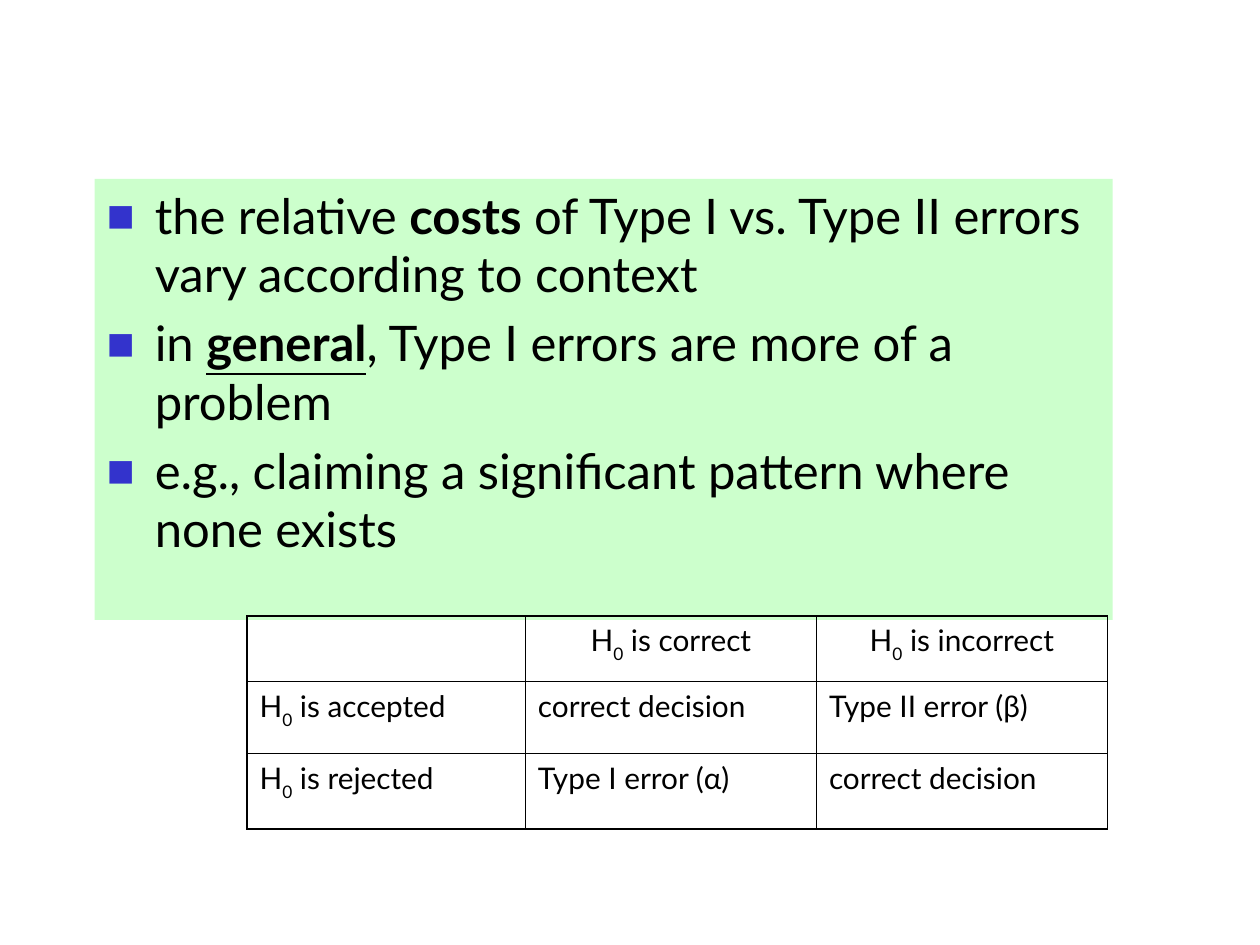
"""Build a slide on the costs of Type I and Type II errors."""
import dataclasses

import lxml.etree
import pptx
import pptx.dml.color
import pptx.enum.shapes
import pptx.enum.text
import pptx.oxml.ns
import pptx.util

Inches = pptx.util.Inches


@dataclasses.dataclass(frozen=True)
class Theme:
    font: str = "Lato"
    ink: str = "000000"
    panel: str = "CCFFCC"
    mark: str = "3333CC"
    body: float = 28
    cell: float = 17
    gap: float = 5.6
    indent: float = 0.38
    rule: float = 1


@dataclasses.dataclass(frozen=True)
class Run:
    text: str
    bold: bool = False
    under: bool = False
    base: int = 0


@dataclasses.dataclass(frozen=True)
class Box:
    left: float
    top: float
    width: float
    height: float

    def place(self) -> list:
        return [Inches(size) for size in dataclasses.astuple(self)]


THEME = Theme()
PANEL = Box(0.75, 1.42, 8.08, 3.5)
GRID = Box(1.96, 4.89, 6.84, 1.69)
COLS = (2.21, 2.31, 2.31)
ROWS = (0.52, 0.57, 0.6)


def null(text: str) -> list[Run]:
    return [Run("H"), Run("0", base=-30000), Run(text)]


POINTS = [
    [Run("the relative "), Run("costs", bold=True),
     Run(" of Type I vs. Type II errors vary according to context")],
    [Run("in "), Run("general", bold=True, under=True),
     Run(", Type I errors are more of a problem")],
    [Run("e.g., claiming a significant pattern where none exists")],
]
CELLS = [
    [[], null(" is correct"), null(" is incorrect")],
    [null(" is accepted"), [Run("correct decision")], [Run("Type II error (β)")]],
    [null(" is rejected"), [Run("Type I error (α)")], [Run("correct decision")]],
]


def color(code: str) -> pptx.dml.color.RGBColor:
    return pptx.dml.color.RGBColor.from_string(code)


def add(parent, tag: str, **attrs: str):
    return lxml.etree.SubElement(parent, pptx.oxml.ns.qn(tag), attrs)


def write(para, runs: list[Run], size: float) -> None:
    props = para._p.get_or_add_pPr()
    props.set("marL", str(Inches(THEME.indent)))
    props.set("indent", str(-Inches(THEME.indent)))
    for item in runs:
        run = para.add_run()
        run.text = item.text
        font = run.font
        font.name = THEME.font
        font.size = pptx.util.Pt(size)
        font.bold = item.bold
        font.underline = item.under
        font.color.rgb = color(THEME.ink)
        if item.base:
            font._element.set("baseline", str(item.base))


def bullet(para) -> None:
    props = para._p.get_or_add_pPr()
    add(add(props, "a:buClr"), "a:srgbClr", val=THEME.mark)
    add(props, "a:buSzPct", val="60000")
    add(props, "a:buFont", typeface=THEME.font)
    add(props, "a:buChar", char="■")


def border(cell) -> None:
    props = cell._tc.get_or_add_tcPr()
    for side in "LRTB":
        line = add(props, f"a:ln{side}", w=str(pptx.util.Pt(THEME.rule)))
        add(add(line, "a:solidFill"), "a:srgbClr", val=THEME.ink)


def panel(slide, box: Box, points: list[list[Run]]) -> None:
    shape = slide.shapes.add_shape(
        pptx.enum.shapes.MSO_SHAPE.RECTANGLE, *box.place())
    shape.shadow.inherit = False
    shape.fill.solid()
    shape.fill.fore_color.rgb = color(THEME.panel)
    shape.line.fill.background()
    frame = shape.text_frame
    frame.word_wrap = True
    frame.vertical_anchor = pptx.enum.text.MSO_ANCHOR.TOP
    for num, runs in enumerate(points):
        para = frame.add_paragraph() if num else frame.paragraphs[0]
        para.alignment = pptx.enum.text.PP_ALIGN.LEFT
        para.space_before = pptx.util.Pt(THEME.gap)
        write(para, runs, THEME.body)
        bullet(para)


def grid(slide, box: Box, cells: list[list[list[Run]]]) -> None:
    table = slide.shapes.add_table(len(ROWS), len(COLS), *box.place()).table
    table.first_row = table.horz_banding = False
    for col, width in zip(table.columns, COLS):
        col.width = Inches(width)
    for row, height in zip(table.rows, ROWS):
        row.height = Inches(height)
    align = pptx.enum.text.PP_ALIGN
    for top, line in enumerate(cells):
        for left, runs in enumerate(line):
            cell = table.cell(top, left)
            border(cell)
            cell.fill.background()
            para = cell.text_frame.paragraphs[0]
            para.alignment = align.LEFT if top else align.CENTER
            write(para, runs, THEME.cell)


def main() -> None:
    deck = pptx.Presentation()
    deck.slide_width, deck.slide_height = Inches(10), Inches(7.5)
    slide = deck.slides.add_slide(deck.slide_layouts[6])
    panel(slide, PANEL, POINTS)
    grid(slide, GRID, CELLS)
    deck.save("out.pptx")


if __name__ == "__main__":
    main()
